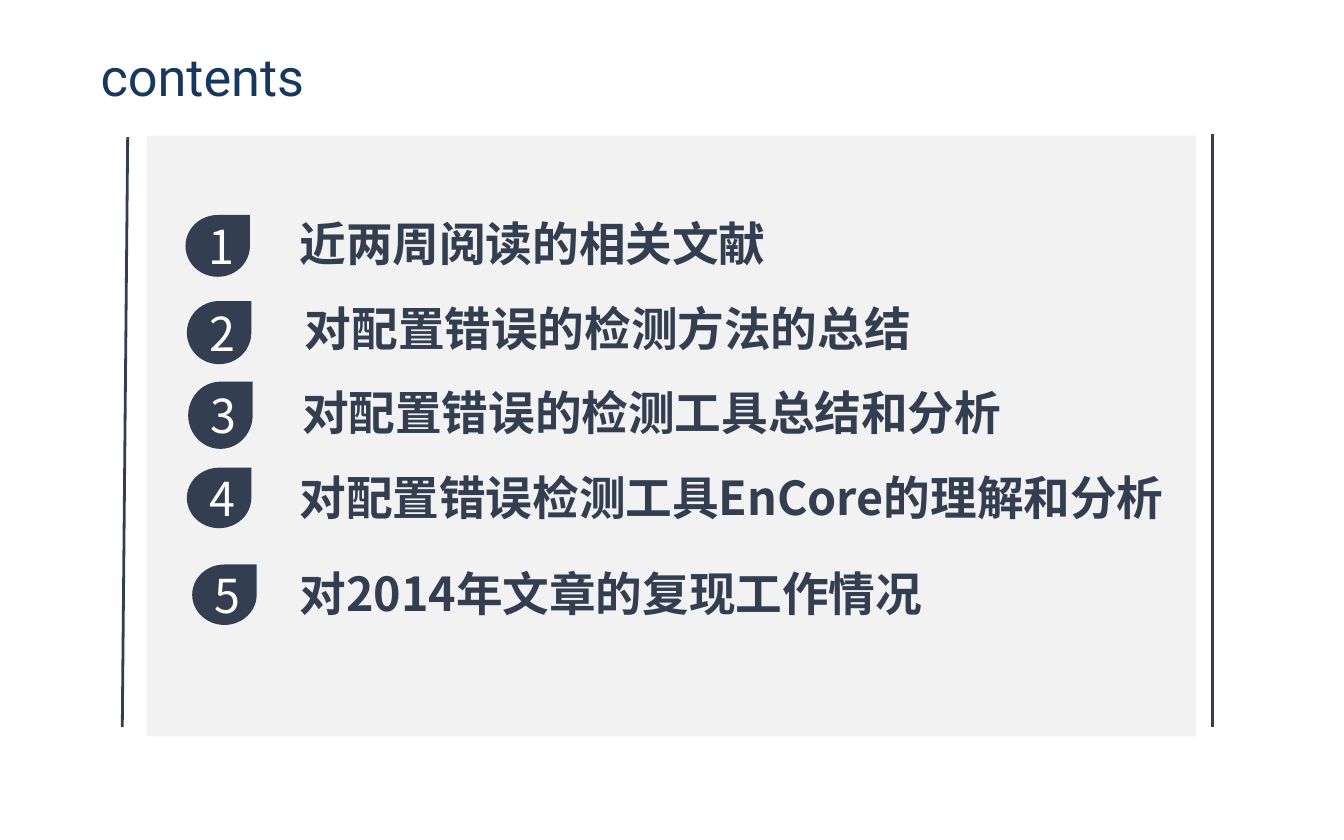
from pptx import Presentation, util as u
from pptx.enum import shapes as s, text as t
from pptx.dml.color import RGBColor
from lxml import etree

COLS, ROWS = 100, 62.5
HUES = {"navy": "333F50", "title": "17375E", "panel": "F2F2F2", "white": "FFFFFF"}
HAN = "Noto Sans CJK SC"
NS = "http://schemas.openxmlformats.org/drawingml/2006/main"
HEAD = {"name": "Roboto", "size": u.Pt(28)}
ITEM = {"name": HAN, "size": u.Pt(25), "bold": True}
MARK = {"name": HAN, "size": u.Pt(25), "bold": False}

deck = Presentation()
deck.slide_width, deck.slide_height = u.Inches(10), u.Inches(6.25)
page = deck.slides.add_slide(deck.slide_layouts[6])
CELL_X, CELL_Y = deck.slide_width / COLS, deck.slide_height / ROWS


def grid(x, y, *size):
    cells = (x, y) + size
    return [round(c * (CELL_Y if i % 2 else CELL_X)) for i, c in enumerate(cells)]


def hue(key):
    return RGBColor.from_string(HUES[key])


def write(frame, words, form, color, align=None):
    para = frame.paragraphs[0]
    para.alignment = align
    run = para.add_run()
    run.text = words
    for key, value in form.items():
        setattr(run.font, key, value)
    run.font.color.rgb = hue(color)
    face = etree.SubElement(run.font._element, f"{{{NS}}}ea")
    face.set("typeface", form["name"])


def label(box, words, form, color):
    frame = page.shapes.add_textbox(*grid(*box)).text_frame
    frame.word_wrap = True
    frame.auto_size = t.MSO_AUTO_SIZE.SHAPE_TO_FIT_TEXT
    write(frame, words, form, color)


def block(kind, box, color):
    shape = page.shapes.add_shape(kind, *grid(*box))
    shape.shadow.inherit = False
    shape.fill.solid()
    shape.fill.fore_color.rgb = hue(color)
    shape.line.fill.background()
    return shape


def rule(start, end):
    line = page.shapes.add_connector(
        s.MSO_CONNECTOR.STRAIGHT, *grid(*start), *grid(*end))
    line.line.color.rgb = hue("navy")
    line.line.width = u.Pt(1.5)
    etree.SubElement(line._element.spPr, f"{{{NS}}}effectLst")


def panel(box):
    x, y, w, h = box
    rule((x - 1.4, y + 0.1), (x - 1.8, y + h - 0.7))
    block(s.MSO_SHAPE.RECTANGLE, box, "panel")
    rule((x + w + 1.2, y - 0.1), (x + w + 1.2, y + h - 0.7))


def entry(box, num, drop, words):
    x, y, w, h = box
    dx, dy, high = drop
    mark = block(s.MSO_SHAPE.TEAR, (x + dx, y + dy, 4.8, high), "navy")
    frame = mark.text_frame
    frame.vertical_anchor = t.MSO_ANCHOR.MIDDLE
    write(frame, str(num), MARK, "white", t.PP_ALIGN.CENTER)
    label(box, words, ITEM, "navy")


def menu(box, items):
    x, y, w, h = box
    for num, (dx, dy, wide, drop, words) in enumerate(items, 1):
        entry((x + dx, y + dy, wide, 5.2), num, drop, words)


ITEMS = [
    (10.4, 5.4, 45, (-7.5, 0.5, 4.6), "近两周阅读的相关文献"),
    (10.8, 11.7, 52.6, (-7.8, 0.6, 4.7), "对配置错误的检测方法的总结"),
    (10.6, 18, 60.6, (-7.5, 0.3, 5), "对配置错误的检测工具总结和分析"),
    (10.4, 24.3, 69.7, (-7.4, 0.4, 4.5), "对配置错误检测工具EnCore的理解和分析"),
    (10.4, 31.4, 49.2, (-7, 0.5, 4.5), "对2014年文章的复现工作情况"),
]
BODY = (10.9, 10.1, 78.1, 44.7)

panel(BODY)
label((6.5, 2.8, 23.4, 5.7), "contents", HEAD, "title")
menu(BODY, ITEMS)
deck.save("out.pptx")
